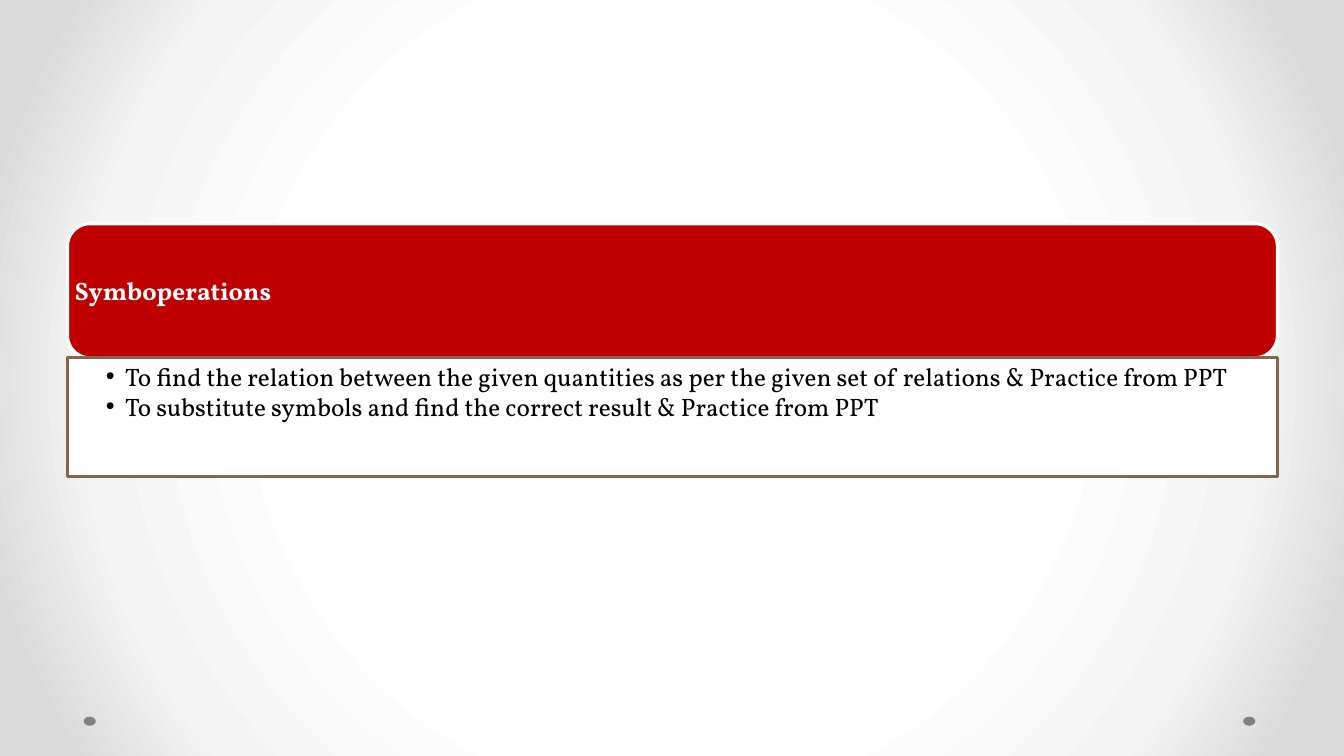
"""Build a slide with a red heading bar above a bulleted panel."""
from lxml import etree
from pptx import Presentation
from pptx.dml.color import RGBColor as RGB
from pptx.enum.shapes import MSO_SHAPE as SHAPE
from pptx.enum.text import MSO_ANCHOR as ANCHOR, MSO_AUTO_SIZE as AUTO, PP_ALIGN as ALIGN
from pptx.oxml.ns import qn
from pptx.util import Inches, Pt

COLORS = {"red": "C00000", "brown": "846648", "white": "FFFFFF",
          "black": "000000", "grey": "808080"}
STOPS = [(50, "FFFFFF"), (76, "F4F4F4"), (92, "DADADA")]
LEFT, WIDTH = Inches(0.67), Inches(12)
BAR_TOP, BAR_H = Inches(2.22), Inches(1.33)
PANEL_H = Inches(1.18)
BULLETS = [
    "To find the relation between the given quantities as per the given set of relations & Practice from PPT",
    "To substitute symbols and find the correct result & Practice from PPT",
]


def add_box(kind, left, top, width, height, fill, line=None):
    sp = s.shapes.add_shape(kind, left, top, width, height)
    sp.shadow.inherit = False
    sp.fill.solid()
    sp.fill.fore_color.rgb = RGB.from_string(COLORS[fill])
    if line:
        sp.line.color.rgb = RGB.from_string(COLORS[line])
        sp.line.width = Pt(2.25)
    else:
        sp.line.fill.background()
    return sp


def format_text(tf, margins, anchor, color, bold):
    tf.word_wrap = True
    tf.auto_size = AUTO.NONE
    tf.vertical_anchor = anchor
    tf.margin_left, tf.margin_top, tf.margin_right, tf.margin_bottom = map(Inches, margins)
    for p in tf.paragraphs:
        p.alignment = ALIGN.LEFT
        p.line_spacing = 1.0
        p.space_before = p.space_after = Pt(0)
        for r in p.runs:
            r.font.name = "Vollkorn"
            r.font.size = Pt(18)
            r.font.bold = bold
            r.font.color.rgb = RGB.from_string(COLORS[color])


prs = Presentation()
prs.slide_width, prs.slide_height = Inches(13.33), Inches(7.5)
s = prs.slides.add_slide(prs.slide_layouts[5])

bg = s.background.fill
bg.gradient()
grad = s.background._cSld.find(".//" + qn("a:gradFill"))
for child in list(grad):
    grad.remove(child)
stops = etree.SubElement(grad, qn("a:gsLst"))
for pos, color in STOPS:
    gs = etree.SubElement(stops, qn("a:gs"), pos=str(pos * 1000))
    etree.SubElement(gs, qn("a:srgbClr"), val=color)
circle = etree.SubElement(grad, qn("a:path"), {"path": "circle"})
etree.SubElement(circle, qn("a:fillToRect"), {side: "50000" for side in "ltrb"})

for x in (12.33, 0.83):
    add_box(SHAPE.OVAL, Inches(x), Inches(7.11), Inches(0.12), Inches(0.09), "grey")

add_box(SHAPE.ROUNDED_RECTANGLE, LEFT, BAR_TOP, WIDTH, BAR_H, "red", "white")
title = s.shapes.title
title.left, title.top, title.width, title.height = LEFT, BAR_TOP, WIDTH, BAR_H
title.text_frame.text = "Symboperations"
format_text(title.text_frame, (0.07,) * 4, ANCHOR.MIDDLE, "white", True)
title.element.getparent().append(title.element)

panel = add_box(SHAPE.RECTANGLE, LEFT, BAR_TOP + BAR_H, WIDTH, PANEL_H, "white", "brown")
tf = panel.text_frame
tf.text = "\n".join(BULLETS)
format_text(tf, (0.38, 0.03, 0.14, 0.03), ANCHOR.TOP, "black", False)
for p in tf.paragraphs:
    p.level = 1
    pPr = p._p.get_or_add_pPr()
    pPr.set("marL", str(Inches(0.19)))
    pPr.set("indent", str(-Inches(0.19)))
    etree.SubElement(pPr, qn("a:buFont"), typeface="Arial")
    etree.SubElement(pPr, qn("a:buChar"), char="•")

prs.save("out.pptx")
